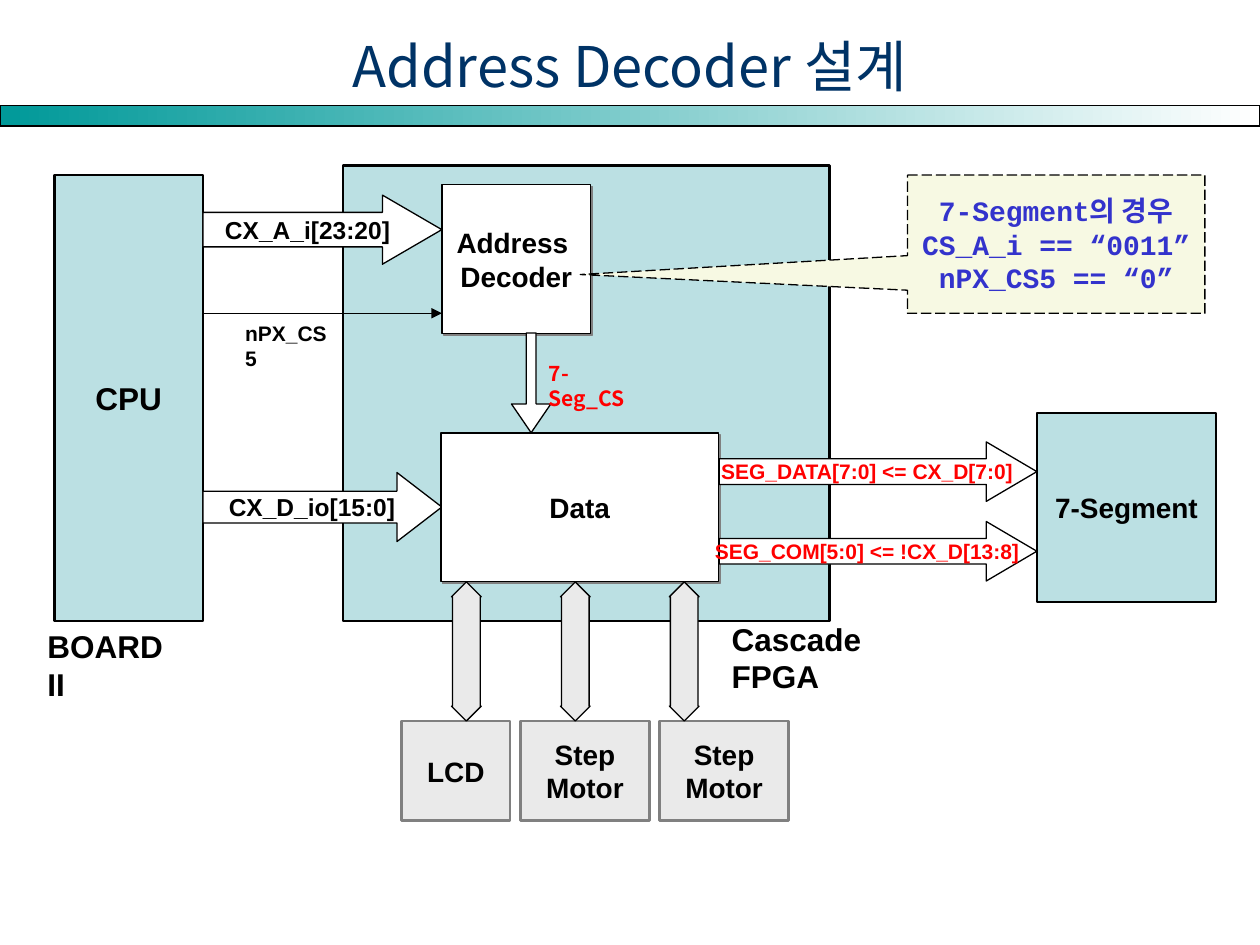
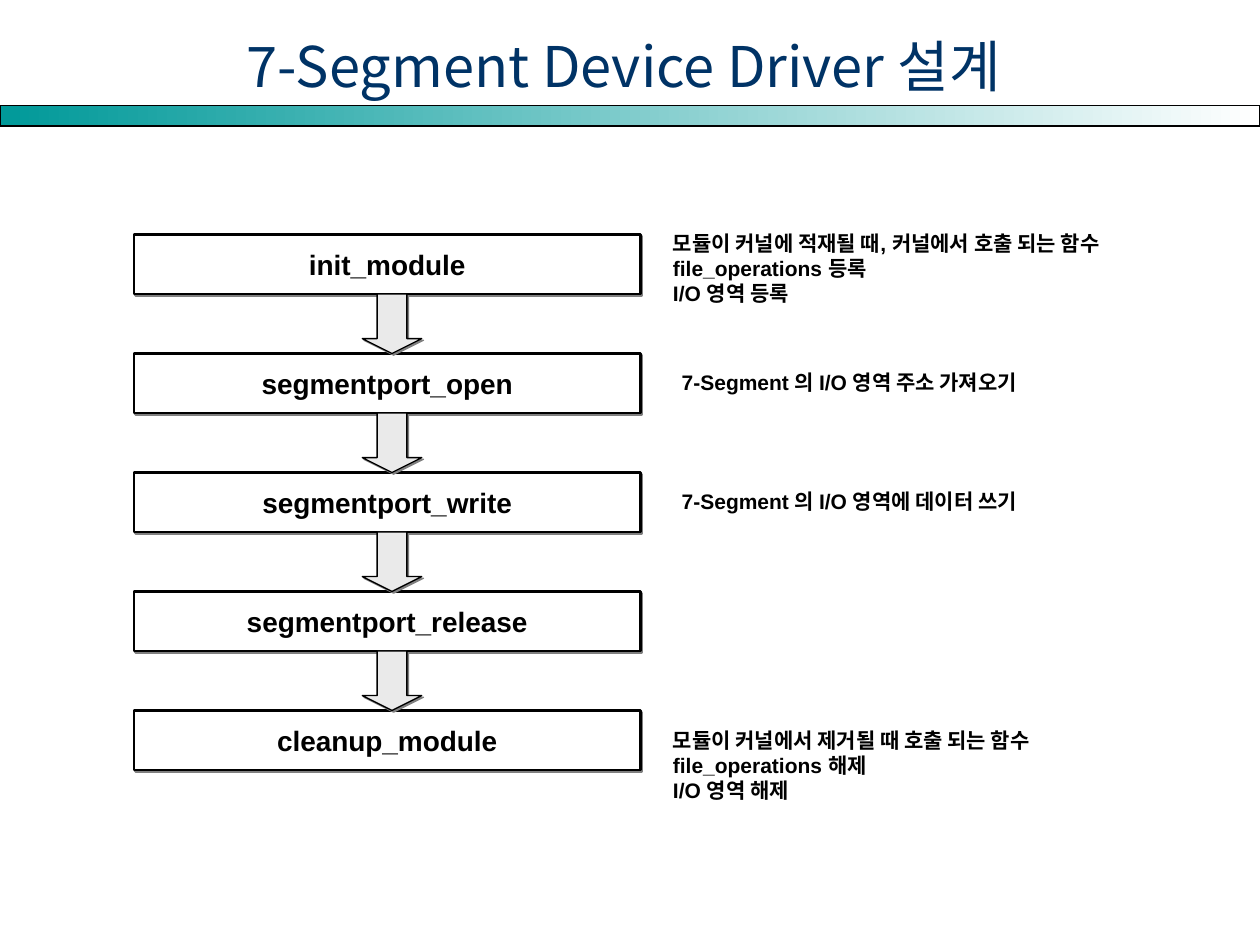
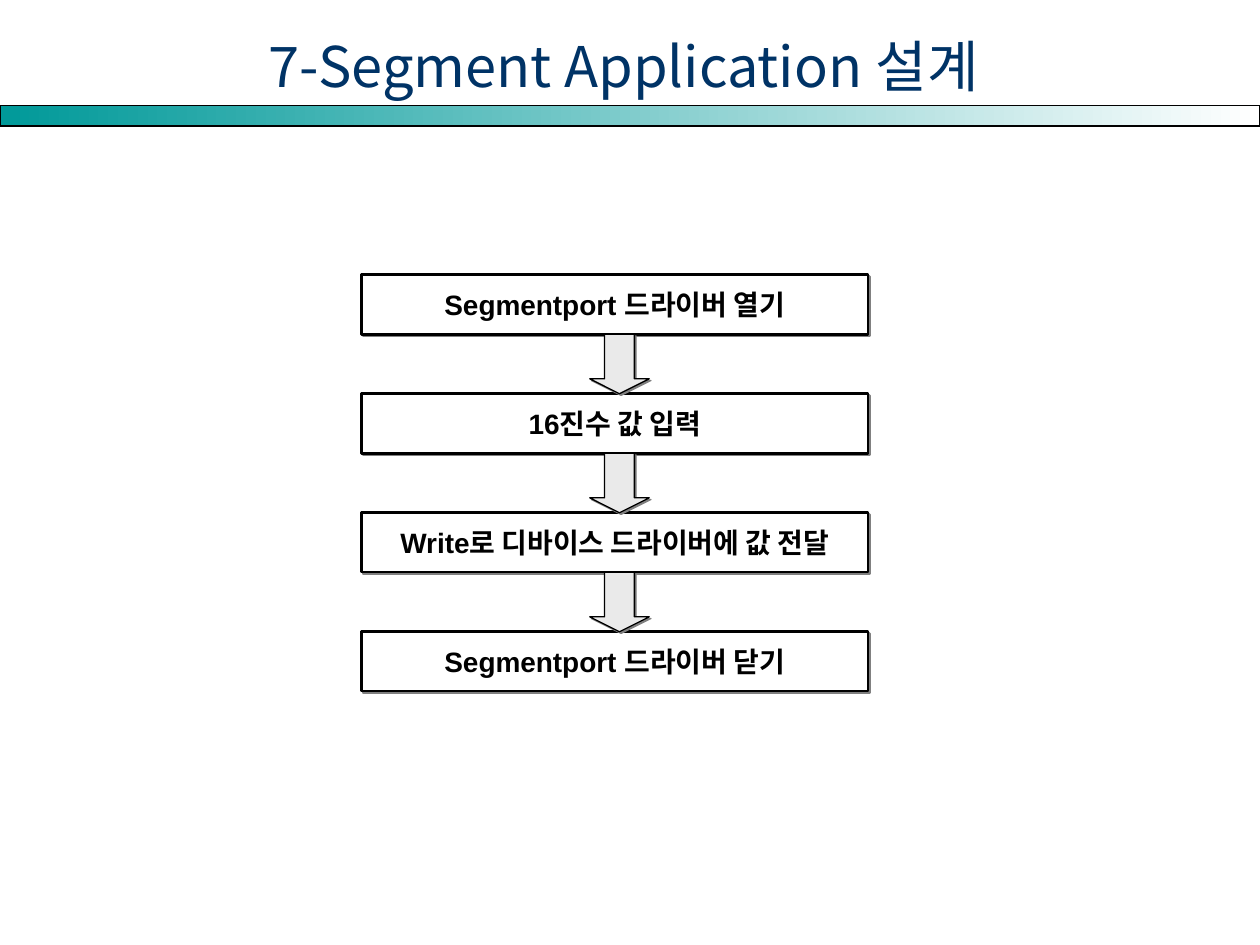
from dataclasses import dataclass
from typing import NamedTuple

from lxml import etree
from pptx import Presentation
from pptx.dml.color import RGBColor
from pptx.enum.dml import MSO_LINE
from pptx.enum.shapes import MSO_CONNECTOR, MSO_SHAPE
from pptx.enum.text import MSO_ANCHOR, MSO_AUTO_SIZE, PP_ALIGN
from pptx.oxml import parse_xml
from pptx.oxml.ns import nsdecls, qn
from pptx.util import Pt

RECTANGLE = MSO_SHAPE.RECTANGLE
RIGHT_ARROW = MSO_SHAPE.RIGHT_ARROW
DOWN_ARROW = MSO_SHAPE.DOWN_ARROW
UP_DOWN_ARROW = MSO_SHAPE.UP_DOWN_ARROW
CALLOUT = MSO_SHAPE.RECTANGULAR_CALLOUT
STRAIGHT = MSO_CONNECTOR.STRAIGHT
LONG_DASH = MSO_LINE.LONG_DASH
MIDDLE, TOP = MSO_ANCHOR.MIDDLE, MSO_ANCHOR.TOP
CENTER, LEFT = PP_ALIGN.CENTER, PP_ALIGN.LEFT
FIT_SHAPE = MSO_AUTO_SIZE.SHAPE_TO_FIT_TEXT


@dataclass(frozen=True)
class Theme:
    black: str = "000000"
    white: str = "FFFFFF"
    teal: str = "009999"
    navy: str = "003366"
    panel: str = "BBE0E3"
    gray: str = "EAEAEA"
    shade: str = "808080"
    cream: str = "F7F9E3"
    violet: str = "3333CC"
    red: str = "FF0000"
    sans: str = "Arial"
    mono: str = "Courier New"
    korean: str = "Noto Sans CJK KR"
    title: float = 32
    heading: float = 18
    body: float = 16
    bus: float = 14
    small: float = 12
    thin: float = 0.75
    thick: float = 1.5


THEME = Theme()


class Box(NamedTuple):
    left: float
    top: float
    width: float
    height: float

    def place(self, left, top, width, height):
        return Box(self.left + left, self.top + top, width, height)

    def lengths(self):
        return [Pt(value) for value in self]


PAGE = Box(0, 0, 720, 540)


def apply(target, values):
    for name, value in values.items():
        setattr(target, name, value)


def write(shape, text, size=THEME.body, color=THEME.black, font=THEME.sans,
          bold=True, align=CENTER, **frame_format):
    frame = shape.text_frame
    apply(frame, {"word_wrap": False, "vertical_anchor": MIDDLE, **frame_format})
    for index, line in enumerate(text.split("\n")):
        para = frame.add_paragraph() if index else frame.paragraphs[0]
        para.alignment = align
        span = para.add_run()
        span.text = line
        apply(span.font, {"size": Pt(size), "bold": bold, "name": font})
        span.font.color.rgb = RGBColor.from_string(color)
        east_asian = etree.SubElement(span.font._element, qn("a:ea"))
        east_asian.set("typeface", THEME.korean)


def add_label(page, box, text, wrap=False, **text_format):
    label = page.shapes.add_textbox(*box.lengths())
    values = {"size": THEME.small, "align": LEFT, "vertical_anchor": TOP,
              "auto_size": FIT_SHAPE, "word_wrap": wrap, **text_format}
    write(label, text, **values)


def add_shadow(shape):
    effects = shape._element.spPr.find(qn("a:effectLst"))
    effects.append(parse_xml(
        f'<a:outerShdw {nsdecls("a")} dist="17780" dir="2700000" algn="ctr" '
        f'rotWithShape="0"><a:srgbClr val="{THEME.shade}"/></a:outerShdw>'))


def add_block(page, box, text="", kind=RECTANGLE, fill=THEME.white, line=THEME.black,
              weight=THEME.thin, adjust=(), shadow=False, **text_format):
    shape = page.shapes.add_shape(kind, *box.lengths())
    shape.shadow.inherit = False
    shape.fill.solid()
    shape.fill.fore_color.rgb = RGBColor.from_string(fill)
    shape.line.color.rgb = RGBColor.from_string(line)
    shape.line.width = Pt(weight)
    for index, value in enumerate(adjust):
        shape.adjustments[index] = value
    if shadow:
        add_shadow(shape)
    if text:
        write(shape, text, **text_format)
    return shape


def add_page(deck, title):
    page = deck.slides.add_slide(deck.slide_layouts[6])
    band = add_block(page, PAGE.place(0, 60.5, PAGE.width, 11.5))
    band.fill.gradient()
    band.fill.gradient_angle = 0
    for stop, color in zip(band.fill.gradient_stops, (THEME.teal, THEME.white)):
        stop.color.rgb = RGBColor.from_string(color)
    heading = page.shapes.add_textbox(*PAGE.place(8.5, 15, 703, 44).lengths())
    write(heading, title, size=THEME.title, color=THEME.navy, font=THEME.korean,
          bold=False, word_wrap=True)
    return page


def draw_panels(page, box):
    panel = {"fill": THEME.panel, "weight": THEME.thick}
    add_block(page, box.place(0, 5.5, 85, 255), "CPU", size=THEME.heading, **panel)
    add_block(page, box.place(165, 0, 278, 260.5), **panel)
    add_block(page, box.place(561.5, 141.5, 102.5, 108), "7-Segment", **panel)
    add_label(page, box.place(380, 256, 139, 29), "Cascade FPGA", size=THEME.heading)
    add_label(page, box.place(-11, 260.5, 94.5, 29), "BOARD II", size=THEME.heading)


def draw_input_buses(page, box):
    buses = (("CX_A_i[23:20]", 0, (0.5, 0.86)), ("CX_D_io[15:0]", 158.5, (0.46, 0.65)))
    for text, top, adjust in buses:
        add_block(page, box.place(0, top, box.width, 39.5), text, RIGHT_ARROW,
                  adjust=adjust, size=THEME.bus)
    signal_top = box.top + 67.5
    signal = page.shapes.add_connector(STRAIGHT, Pt(box.left), Pt(signal_top),
                                       Pt(box.left + box.width), Pt(signal_top))
    signal.line.color.rgb = RGBColor.from_string(THEME.black)
    signal.line.width = Pt(THEME.thin)
    etree.SubElement(signal.line._get_or_add_ln(), qn("a:tailEnd")).set("type", "triangle")
    etree.SubElement(signal._element.spPr, qn("a:effectLst"))
    add_label(page, box.place(17, 68, 67.5, 21.5), "nPX_CS5")


def draw_logic(page, box):
    add_block(page, box.place(0.5, 0, 85, 85), "Address \nDecoder", shadow=True)
    add_block(page, box.place(0, 142, box.width, 85), "Data", shadow=True)
    select = add_block(page, box.place(23, 102, 57, 22.5), kind=RIGHT_ARROW,
                       adjust=(0.25, 0.73))
    select.rotation = 90
    add_label(page, box.place(54.5, 97, 65.5, 21.5), "7-Seg_CS", wrap=True,
              color=THEME.red, font=THEME.korean)


def draw_output_buses(page, box):
    outputs = ("SEG_DATA[7:0] <= CX_D[7:0]", "SEG_COM[5:0] <= !CX_D[13:8]")
    for index, text in enumerate(outputs):
        add_block(page, box.place(0, index * 45.5, box.width, 34), text, RIGHT_ARROW,
                  adjust=(0.43, 0.85), size=THEME.small, color=THEME.red)


def draw_peripherals(page, box):
    devices = (("LCD", 0, 62), ("Step\nMotor", 68, 73.5), ("Step\nMotor", 147.5, 73.5))
    for index, (text, left, width) in enumerate(devices):
        add_block(page, box.place(left, 79.5, width, 57), text, fill=THEME.gray,
                  line=THEME.shade, weight=THEME.thick)
        add_block(page, box.place(28.5 + index * 62.25, 0, 17, 79.5), kind=UP_DOWN_ARROW,
                  fill=THEME.gray, adjust=(0.5, 0.93))


def draw_condition(page, box):
    text = "7-Segment의 경우\nCS_A_i == “0011”\nnPX_CS5 == “0”"
    callout = add_block(page, box, text, CALLOUT, THEME.cream, adjust=(-1.6, 0.22),
                        color=THEME.violet, font=THEME.mono, word_wrap=True)
    callout.line.dash_style = LONG_DASH


def draw_flow(page, box, steps):
    pitch = 2 * box.height
    for index, text in enumerate(steps):
        add_block(page, box.place(0, index * pitch, box.width, box.height), text,
                  weight=THEME.thick, shadow=True)
    for index in range(len(steps) - 1):
        add_block(page, box.place(130.5, box.height + index * pitch, 34, box.height),
                  kind=DOWN_ARROW, fill=THEME.gray, adjust=(0.5, 0.25), shadow=True)


def draw_notes(page, box, notes):
    for left, top, text in notes:
        height = 7.2 + 14.4 * len(text.split("\n"))
        add_label(page, box.place(left, top, box.width, height), text, wrap=True)


def build_decoder_page(deck):
    page = add_page(deck, "Address Decoder 설계")
    draw_panels(page, Box(31, 94.5, 664, 290))
    draw_input_buses(page, Box(116, 111.5, 136.5, 198))
    draw_logic(page, Box(252, 105.5, 158.5, 227))
    draw_output_buses(page, Box(411, 252.5, 181.5, 79.5))
    draw_peripherals(page, Box(229.5, 332.5, 221, 136.5))
    draw_condition(page, Box(518.5, 100, 170, 79))


def build_driver_page(deck):
    page = add_page(deck, "7-Segment Device Driver 설계 ")
    draw_flow(page, Box(76.5, 134, 289.5, 34),
              ("init_module", "segmentport_open", "segmentport_write",
               "segmentport_release", "cleanup_module"))
    draw_notes(page, Box(377.5, 128, 302.5, 334), (
        (0, 0, "모듈이 커널에 적재될 때, 커널에서 호출 되는 함수\n"
               "file_operations 등록\nI/O 영역 등록"),
        (5, 79.5, "7-Segment 의 I/O 영역 주소 가져오기"),
        (5, 147.5, "7-Segment 의 I/O 영역에 데이터 쓰기"),
        (0, 284, "모듈이 커널에서 제거될 때 호출 되는 함수\n"
                 "file_operations 해제\nI/O 영역 해제")))


def build_application_page(deck):
    page = add_page(deck, "7-Segment Application 설계 ")
    draw_flow(page, Box(206.5, 157, 289.5, 34),
              ("Segmentport 드라이버 열기", "16진수 값 입력",
               "Write로 디바이스 드라이버에 값 전달", "Segmentport 드라이버 닫기"))


def main():
    deck = Presentation()
    apply(deck, {"slide_width": Pt(PAGE.width), "slide_height": Pt(PAGE.height)})
    for build in (build_decoder_page, build_driver_page, build_application_page):
        build(deck)
    deck.save("out.pptx")


if __name__ == "__main__":
    main()
